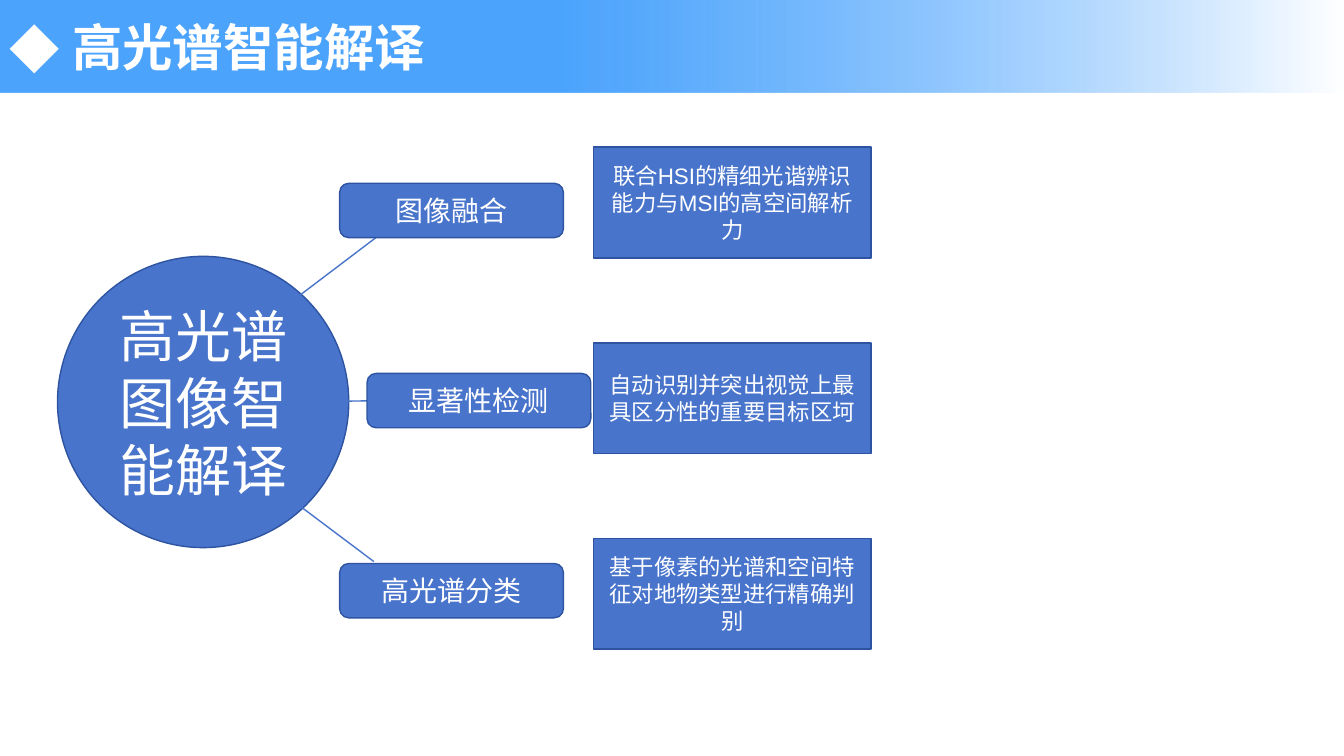
from typing import NamedTuple

from lxml.etree import SubElement
from pptx import Presentation
from pptx.dml.color import RGBColor
from pptx.enum.shapes import MSO_CONNECTOR, MSO_SHAPE
from pptx.enum.text import MSO_ANCHOR, PP_ALIGN
from pptx.oxml.ns import qn
from pptx.shapes.autoshape import Shape
from pptx.util import Cm, Pt

BLUE, EDGE, WHITE = "4874CB", "2E54A1", "FFFFFF"
HAN = "Noto Sans CJK SC"


class Box(NamedTuple):
    form: MSO_SHAPE
    left: float
    top: float
    width: float
    height: float
    text: str
    size: int


class Spoke(NamedTuple):
    x1: float
    y1: float
    x2: float
    y2: float


class Topic(NamedTuple):
    left: float
    name: str
    note: str


def color(code: str) -> RGBColor:
    return RGBColor.from_string(code)


def add_box(box: Box, font: str = "Arial") -> Shape:
    shape = slide.shapes.add_shape(
        box.form, Cm(box.left), Cm(box.top), Cm(box.width), Cm(box.height))
    shape.shadow.inherit = False
    shape.fill.solid()
    shape.fill.fore_color.rgb = color(BLUE)
    shape.line.color.rgb = color(EDGE)
    shape.line.width = Pt(1)
    frame = shape.text_frame
    frame.text = box.text
    frame.word_wrap = True
    frame.vertical_anchor = MSO_ANCHOR.MIDDLE
    para = frame.paragraphs[0]
    para.alignment = PP_ALIGN.CENTER
    run = para.runs[0]
    run.font.size = Pt(box.size)
    run.font.name = font
    run.font.color.rgb = color(WHITE)
    SubElement(run.font._element, qn("a:ea"), typeface=HAN)
    return shape


def add_title(text: str) -> None:
    """Draw the fading title bar with its diamond bullet."""
    bar = add_box(Box(MSO_SHAPE.RECTANGLE, 0, 0, 33.87, 2.34, text, 36), HAN)
    bar.line.fill.background()
    bar.fill.gradient()
    bar.fill.gradient_angle = 0
    for stop, (place, code) in zip(bar.fill.gradient_stops,
                                   ((0.41, "007DFC"), (1, WHITE))):
        stop.position = place
        stop.color.rgb = color(code)
    tint = bar.fill._xPr.find(".//" + qn("a:srgbClr"))
    SubElement(tint, qn("a:alpha"), val="70000")

    para = bar.text_frame.paragraphs[0]
    para.alignment = PP_ALIGN.LEFT
    para.runs[0].font.bold = True
    props = para._p.get_or_add_pPr()
    props.set("marL", str(Cm(1.57)))
    props.set("indent", str(-Cm(1.57)))
    SubElement(props, qn("a:buFont"), typeface=HAN)
    SubElement(props, qn("a:buChar"), char="◆")


def add_spoke(spoke: Spoke) -> None:
    line = slide.shapes.add_connector(
        MSO_CONNECTOR.STRAIGHT, *(Cm(value) for value in spoke))
    line.line.color.rgb = color(BLUE)
    line.line.width = Pt(1)
    SubElement(line._element.spPr, qn("a:effectLst"))


SPOKES = (
    Spoke(8.56, 10.11, 10.9, 10.08),
    Spoke(7.49, 12.7, 9.42, 14.15),
    Spoke(7.49, 7.49, 9.47, 5.99),
)
TOPICS = (
    Topic(8.56, "图像融合", "联合HSI的精细光谐辨识能力与MSI的高空间解析力"),
    Topic(9.25, "显著性检测", "自动识别并突出视觉上最具区分性的重要目标区坷"),
    Topic(8.56, "高光谱分类", "基于像素的光谱和空间特征对地物类型进行精确判别"),
)

deck = Presentation()
deck.slide_width, deck.slide_height = Cm(33.87), Cm(19.05)
slide = deck.slides.add_slide(deck.slide_layouts[6])

add_title("高光谱智能解译")
add_box(Box(MSO_SHAPE.OVAL, 1.45, 6.46, 7.34, 7.34, "高光谱图像智能解译", 40))
for spoke in SPOKES:
    add_spoke(spoke)
for row, topic in enumerate(TOPICS):
    add_box(Box(MSO_SHAPE.ROUNDED_RECTANGLE, topic.left, 4.62 + 4.79 * row,
                5.64, 1.37, topic.name, 20))
    add_box(Box(MSO_SHAPE.RECTANGLE, 14.96, 3.71 + 4.93 * row,
                6.99, 2.79, topic.note, 16))

deck.save("out.pptx")
